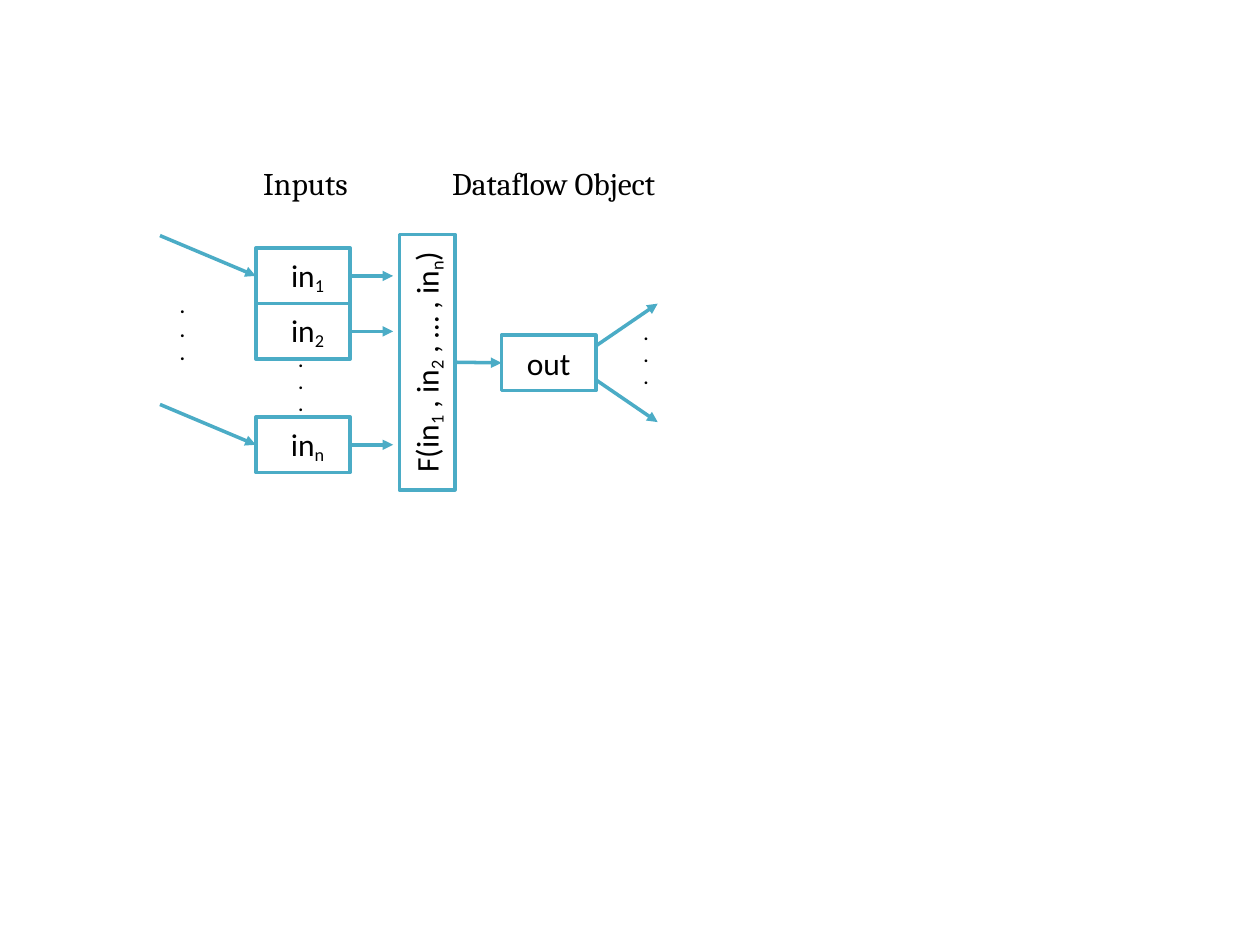
from dataclasses import dataclass

from lxml import etree
from pptx import Presentation
from pptx.dml.color import RGBColor
from pptx.enum.shapes import MSO_CONNECTOR, MSO_SHAPE
from pptx.enum.text import MSO_ANCHOR, PP_ALIGN
from pptx.oxml.ns import qn
from pptx.util import Inches, Pt

RECT = MSO_SHAPE.RECTANGLE
STRAIGHT = MSO_CONNECTOR.STRAIGHT
MIDDLE = MSO_ANCHOR.MIDDLE
CENTER = PP_ALIGN.CENTER
LEFT_SIDE, RIGHT_SIDE = 1, 3

CELL = Inches(0.1)  # the slide is a grid of 100 columns by 75 rows
COLS, ROWS = 100, 75
NODE_W, NODE_H = 7.5, 4.4
ARROW = 3.4


@dataclass(frozen=True)
class Theme:
    line: RGBColor = RGBColor(0x4B, 0xAC, 0xC6)
    fill: RGBColor = RGBColor(0xFF, 0xFF, 0xFF)
    text: RGBColor = RGBColor(0, 0, 0)
    body_font: str = "Calibri"
    head_font: str = "Cambria"
    label: float = 18
    dots: float = 10.5
    big_dots: float = 11
    stroke: float = 2
    subscript: int = -16


THEME = Theme()


@dataclass(frozen=True)
class Box:
    x: float
    y: float
    w: float
    h: float

    def emu(self):
        return [round(v * CELL) for v in (self.x, self.y, self.w, self.h)]

    def inner(self, dx, dy, w, h):
        return Box(self.x + dx, self.y + dy, w, h)


def add_run(p, text, size, font=THEME.body_font, bold=None):
    r = p.add_run()
    r.text = text
    r.font.size, r.font.name, r.font.bold = Pt(size), font, bold
    r.font.color.rgb = THEME.text
    return r


def add_node(s, box, label):
    """Outlined box; every second part of label, split at "_", is a subscript."""
    sp = s.shapes.add_shape(RECT, *box.emu())
    sp.shadow.inherit = False
    sp.fill.solid()
    sp.fill.fore_color.rgb = THEME.fill
    sp.line.color.rgb = THEME.line
    sp.line.width = Pt(THEME.stroke)
    tf = sp.text_frame
    tf.vertical_anchor = MIDDLE
    p = tf.paragraphs[0]
    p.alignment = CENTER
    for i, part in enumerate(label.split("_")):
        r = add_run(p, part, THEME.label)
        if i % 2:
            r.font._element.set("baseline", str(THEME.subscript * 1000))
    return sp


def add_arrow(s, start, end, source=None, target=None):
    """Arrow in grid units, joined to source's right and target's left side."""
    c = s.shapes.add_connector(STRAIGHT, *(round(v * CELL) for v in start + end))
    c.line.color.rgb = THEME.line
    c.line.width = Pt(THEME.stroke)
    etree.SubElement(c.line._get_or_add_ln(), qn("a:tailEnd"), type="triangle")
    etree.SubElement(c._element.spPr, qn("a:effectLst"))
    if source is not None:
        c.begin_connect(source, RIGHT_SIDE)
    if target is not None:
        c.end_connect(target, LEFT_SIDE)


def add_dots(s, box, size):
    tf = s.shapes.add_textbox(*box.emu()).text_frame
    tf.word_wrap = False
    for i in range(3):
        p = tf.add_paragraph() if i else tf.paragraphs[0]
        add_run(p, ".", size, bold=True)


def draw_headings(s, box, words, tab):
    tf = s.shapes.add_textbox(*box.emu()).text_frame
    tf.word_wrap = True
    p = tf.paragraphs[0]
    tabs = etree.SubElement(p._p.get_or_add_pPr(), qn("a:tabLst"))
    etree.SubElement(tabs, qn("a:tab"), pos=str(round(tab * CELL)), algn="l")
    add_run(p, "\t".join(words), THEME.label, THEME.head_font)


def draw_inputs(s, box):
    """Input nodes at the right of box, with the arrows that enter and leave."""
    left = box.w - NODE_W
    mid = NODE_H / 2
    for name, dy, enters in (("1", 1, True), ("2", 5.4, False), ("n", 14.4, True)):
        place = box.inner(left, dy, NODE_W, NODE_H)
        node = add_node(s, place, f"in_{name}")
        node.text_frame.margin_left = Inches(0.17)
        y = place.y + mid
        if enters:
            add_arrow(s, (box.x, y - 3.2), (place.x, y), target=node)
        right = place.x + NODE_W
        add_arrow(s, (right, y), (right + ARROW, y), source=node)
    add_dots(s, box.inner(0.6, 4.2, 2.4, 6.6), THEME.big_dots)
    add_dots(s, box.inner(left + 2.4, 8.5, 2.4, 6.3), THEME.dots)


def draw_function(s, box, label):
    sp = add_node(s, box, label)
    sp.text_frame._txBody.bodyPr.set("vert", "vert270")
    return sp


def draw_output(s, box, function):
    """Output node at the left of box, fanning out to its right edge."""
    place = box.inner(0, (box.h - NODE_H) / 2, NODE_W, NODE_H)
    node = add_node(s, place, "out")
    mid = box.y + box.h / 2
    add_arrow(s, (place.x - ARROW, mid), (place.x, mid), function, node)
    for side in (-1, 1):
        add_arrow(s, (place.x + NODE_W, mid + side * 1.35),
                  (box.x + box.w, mid + side * box.h / 2))
    add_dots(s, box.inner(10.3, 1, 2.4, 6.3), THEME.dots)


def main():
    prs = Presentation()
    prs.slide_width, prs.slide_height = COLS * CELL, ROWS * CELL
    s = prs.slides.add_slide(prs.slide_layouts[6])
    draw_inputs(s, Box(12.7, 18.7, 15.1, 18.8))
    function = draw_function(s, Box(31.7, 18.6, NODE_H, 20.3),
                             "F(in_1_ , in_2_ , … , in_n_)")
    draw_output(s, Box(39.8, 24.1, 12.4, 9.4), function)
    draw_headings(s, Box(19.9, 12.5, 35.8, 4), ("Inputs", "Dataflow Object"), 15)
    prs.save("out.pptx")


if __name__ == "__main__":
    main()
